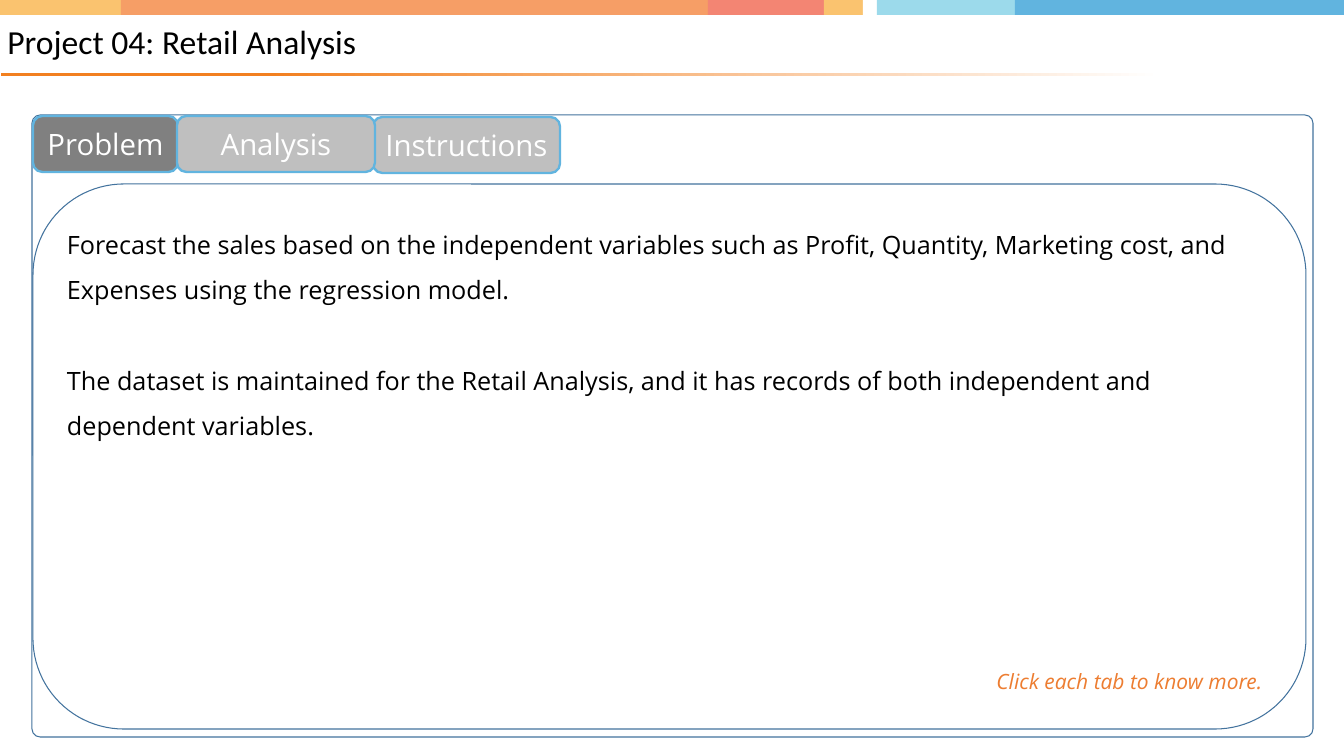
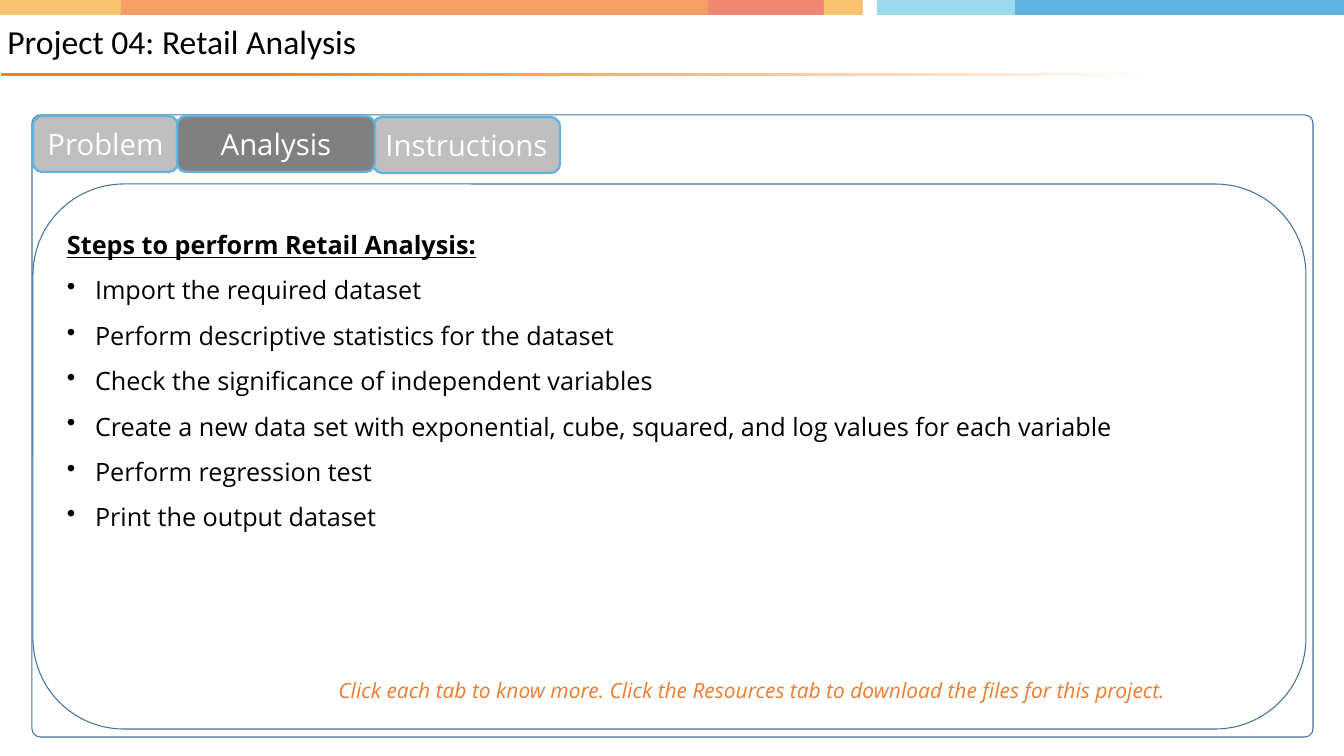
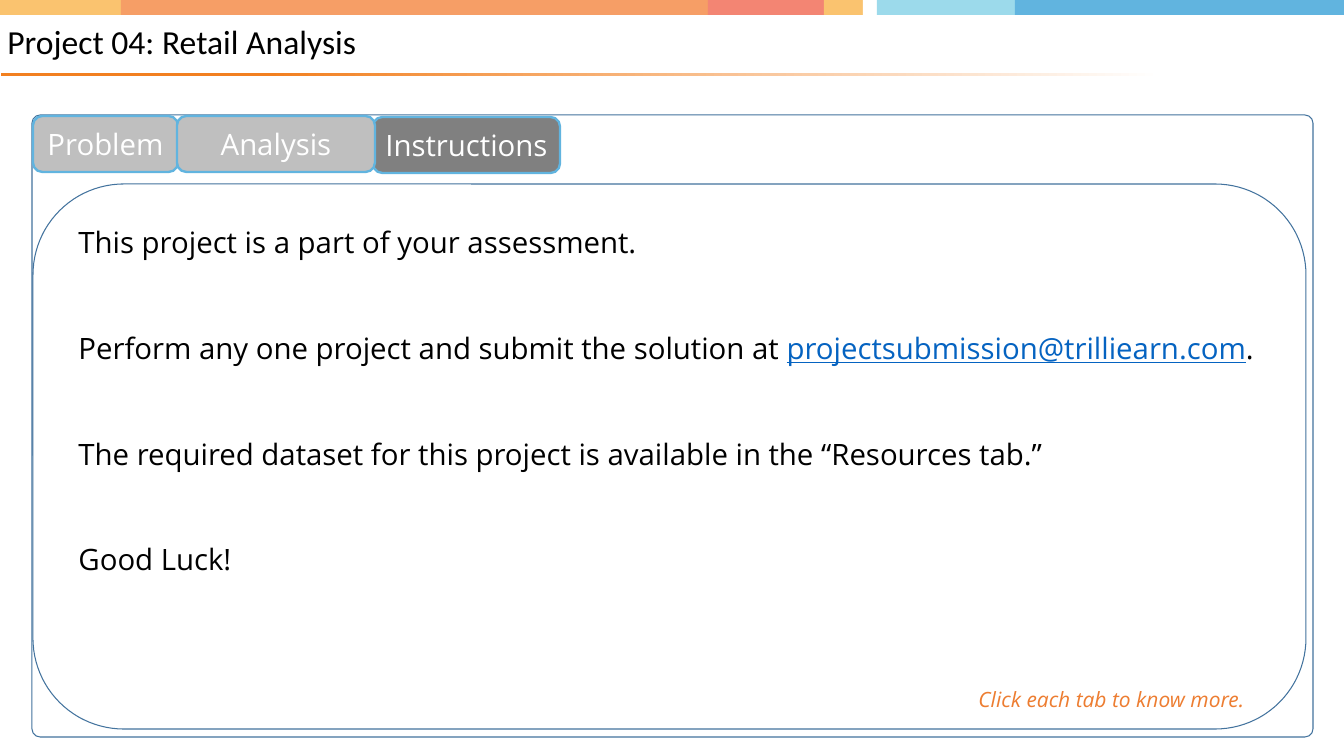
"""Build the three tabbed slides of a retail analysis project."""
from dataclasses import dataclass
from itertools import pairwise

from lxml.etree import SubElement
from pptx import Presentation
from pptx.dml.color import RGBColor
from pptx.enum.shapes import MSO_SHAPE
from pptx.enum.text import MSO_ANCHOR, MSO_AUTO_SIZE, PP_ALIGN
from pptx.oxml.ns import qn
from pptx.util import Pt

PIXEL = 914400 / 75.6


@dataclass(frozen=True)
class Theme:
    """Colours, fonts and type sizes of the deck."""
    amber: str = "FAC36F"
    orange: str = "F69E66"
    coral: str = "F38573"
    white: str = "FFFFFF"
    aqua: str = "9CDAEB"
    sky: str = "61B4DF"
    rule: str = "F28020"
    outline: str = "43739E"
    tab: str = "BFBFBF"
    active_tab: str = "808080"
    ink: str = "000000"
    hint: str = "ED7D31"
    address: str = "0563C1"
    title_font: str = "Calibri"
    body_font: str = "Open Sans"
    title_size: int = 32
    large_size: int = 28
    body_size: int = 24
    hint_size: int = 20


THEME = Theme()
BAND_EDGES = (0, 121, 708, 824, 863, 877, 1015, 1344)
BAND_COLOURS = (THEME.amber, THEME.orange, THEME.coral, THEME.amber,
                THEME.white, THEME.aqua, THEME.sky)
TABS = {
    "Instructions": (373, 117, 187, 56),
    "Problem": (33, 116, 145, 56),
    "Analysis": (177, 116, 198, 56),
}
PANEL = (33, 184, 1273, 545)
INSTRUCTIONS_BOX = (71, 203, 1235, 382)
BULLET_INDENT = 28
BODY_GAP = 43.1
LARGE_GAP = 50.2

PROBLEM = (
    "Forecast the sales based on the independent variables such as Profit, "
    "Quantity, Marketing cost, and Expenses using the regression model.",
    "The dataset is maintained for the Retail Analysis, and it has records of "
    "both independent and dependent variables.",
)
STEPS_HEADING = "Steps to perform Retail Analysis:"
STEPS = (
    "Import the required dataset",
    "Perform descriptive statistics for the dataset",
    "Check the significance of independent variables",
    "Create a new data set with exponential, cube, squared, and log values "
    "for each variable",
    "Perform regression test",
    "Print the output dataset",
)
SUBMISSION = (
    ("Perform any one project and submit the solution at ", {}),
    ("projectsubmission@trilliearn.com",
     {"colour": THEME.address, "underline": True}),
    (".", {}),
)
INSTRUCTIONS = (
    "This project is a part of your assessment.",
    SUBMISSION,
    "The required dataset for this project is available in the "
    "\u201cResources tab.\u201d",
    "Good Luck!",
)
HINT = "Click each tab to know more."
RESOURCES_HINT = (HINT + " Click the Resources tab to download the files "
                  "for this project.")


def px(length):
    """Turn picture pixels into EMU."""
    return round(length * PIXEL)


def apply(target, values):
    """Set each named attribute of the target."""
    for name, value in values.items():
        setattr(target, name, value)


def add_block(slide, box, fill=None, line=None, weight=1,
              preset=MSO_SHAPE.RECTANGLE):
    """Add a flat preset shape."""
    block = slide.shapes.add_shape(preset, *map(px, box))
    block.shadow.inherit = False
    if fill:
        block.fill.solid()
        block.fill.fore_color.rgb = RGBColor.from_string(fill)
    else:
        block.fill.background()
    if line:
        block.line.color.rgb = RGBColor.from_string(line)
        block.line.width = Pt(weight)
    else:
        block.line.fill.background()
    return block


def add_text_box(slide, box, **frame_format):
    """Add a wrapping text box and return its text frame."""
    frame = slide.shapes.add_textbox(*map(px, box)).text_frame
    apply(frame, {"word_wrap": True} | frame_format)
    return frame


def write(frame, content, size, font=THEME.body_font, colour=THEME.ink,
          bold=False, italic=False, underline=False, **layout):
    """Write a paragraph given as a string or as (text, format) runs."""
    if frame.text:
        paragraph = frame.add_paragraph()
    else:
        paragraph = frame.paragraphs[0]
    apply(paragraph, {"alignment": PP_ALIGN.LEFT} | layout)
    base = {"name": font, "size": Pt(size), "bold": bold, "italic": italic,
            "underline": underline}
    runs = ((content, {}),) if isinstance(content, str) else content
    for text, changes in runs:
        run = paragraph.add_run()
        run.text = text
        look = base | {"colour": colour} | changes
        run.font.color.rgb = RGBColor.from_string(look.pop("colour"))
        apply(run.font, look)
    return paragraph


def add_bullet(paragraph):
    """Give a paragraph a round bullet with a hanging indent."""
    properties = paragraph._p.get_or_add_pPr()
    properties.set("marL", str(px(BULLET_INDENT)))
    properties.set("indent", str(-px(BULLET_INDENT)))
    SubElement(properties, qn("a:buChar"), char="\u2022")


def write_spaced(frame, paragraphs, size, gap):
    """Write paragraphs separated by one empty line's height."""
    for position, content in enumerate(paragraphs):
        write(frame, content, size, line_spacing=1.5,
              space_before=Pt(gap if position else 0))


def add_header(slide):
    """Draw the colour band, fading rule and title."""
    for (left, right), colour in zip(pairwise(BAND_EDGES), BAND_COLOURS):
        add_block(slide, (left, -1, right - left, 16), colour)
    rule = add_block(slide, (1, 73, 1160, 3))
    rule.fill.gradient()
    rule.fill.gradient_angle = 0
    stops = ((0.23, THEME.rule), (1, THEME.white))
    for stop, (position, colour) in zip(rule.fill.gradient_stops, stops):
        stop.position = position
        stop.color.rgb = RGBColor.from_string(colour)
    title = add_text_box(slide, (0, 16, 1100, 55), margin_top=0,
                         margin_right=0, margin_bottom=0,
                         vertical_anchor=MSO_ANCHOR.MIDDLE)
    write(title, "Project 04: Retail Analysis", THEME.title_size,
          THEME.title_font, line_spacing=0.9, space_before=Pt(13.3))


def add_tab(slide, label, box, active):
    """Add one tab, darker when active."""
    tab = add_block(slide, box, THEME.active_tab if active else THEME.tab,
                    THEME.sky, 2.25, MSO_SHAPE.ROUNDED_RECTANGLE)
    tab.text_frame.vertical_anchor = MSO_ANCHOR.MIDDLE
    write(tab.text_frame, label, THEME.large_size, colour=THEME.white,
          alignment=PP_ALIGN.CENTER)


def add_tabbed_slide(deck, active, hint, hint_box):
    """Add a slide with its shared parts and return it with its panel text."""
    slide = deck.slides.add_slide(deck.slide_layouts[6])
    add_header(slide)
    outer = add_block(slide, (32, 115, 1281, 622), line=THEME.outline,
                      preset=MSO_SHAPE.ROUNDED_RECTANGLE)
    outer.adjustments[0] = 0.013
    for label, box in TABS.items():
        add_tab(slide, label, box, label == active)
    panel = add_block(slide, PANEL, line=THEME.outline,
                      preset=MSO_SHAPE.ROUNDED_RECTANGLE)
    panel.text_frame.vertical_anchor = MSO_ANCHOR.TOP
    prompt = add_text_box(slide, hint_box,
                          auto_size=MSO_AUTO_SIZE.SHAPE_TO_FIT_TEXT)
    write(prompt, hint, THEME.hint_size, colour=THEME.hint, italic=True)
    return slide, panel.text_frame


def add_problem(deck):
    """Add the problem slide."""
    _, body = add_tabbed_slide(deck, "Problem", HINT, (989, 665, 318, 33))
    write_spaced(body, PROBLEM, THEME.body_size, BODY_GAP)


def add_analysis(deck):
    """Add the analysis steps slide."""
    _, body = add_tabbed_slide(deck, "Analysis", RESOURCES_HINT,
                               (331, 674, 916, 33))
    write(body, STEPS_HEADING, THEME.body_size, bold=True, underline=True,
          line_spacing=1.5)
    for step in STEPS:
        add_bullet(write(body, step, THEME.body_size, line_spacing=1.5))


def add_instructions(deck):
    """Add the submission instructions slide."""
    slide, _ = add_tabbed_slide(deck, "Instructions", HINT,
                                (971, 683, 314, 33))
    body = add_text_box(slide, INSTRUCTIONS_BOX,
                        auto_size=MSO_AUTO_SIZE.SHAPE_TO_FIT_TEXT)
    write_spaced(body, INSTRUCTIONS, THEME.large_size, LARGE_GAP)


def main():
    """Build and save the deck."""
    deck = Presentation()
    apply(deck, {"slide_width": px(1344), "slide_height": px(756)})
    add_problem(deck)
    add_analysis(deck)
    add_instructions(deck)
    deck.save("out.pptx")


main()
